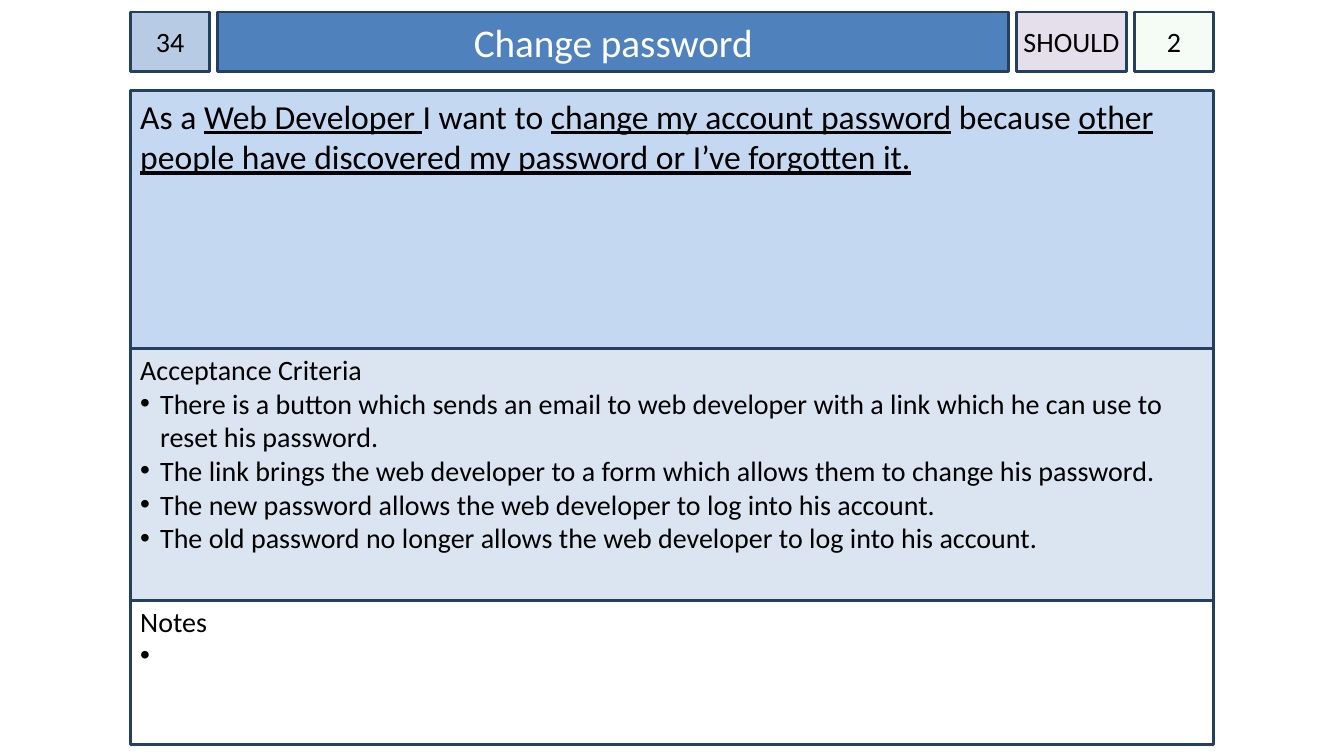
"""Build a user story card: a header row above three stacked panels."""
from lxml.etree import SubElement
from pptx import Presentation
from pptx.dml.color import RGBColor
from pptx.enum.shapes import MSO_SHAPE as Shape
from pptx.enum.text import MSO_ANCHOR as Anchor, PP_ALIGN as Align
from pptx.oxml.ns import qn
from pptx.util import Pt

COLORS = {
    "border": "244061", "ink": "000000", "white": "FFFFFF",
    "number": "B7CCE4", "title": "4F81BD", "priority": "E5DFEC", "points": "CCF0CD",
    "story": "C5D8F1", "criteria": "DAE5F1", "notes": "FFFFFF",
}
HEADER = [
    ("number", "34", 56.8, 20, "ink", 0),
    ("title", "Change password", 565, 28, "white", 7.2),
    ("priority", "SHOULD", 78.5, 20, "ink", 0),
    ("points", "2", 56.8, 20, "ink", 0),
]
STORY = [
    ("As a ", False), ("Web Developer ", True), ("I want to ", False),
    ("change my account password", True), (" because ", False),
    ("other people have discovered my password or I’ve forgotten it.", True),
]
CRITERIA = [
    "There is a button which sends an email to web developer with a link which he can use to reset his password.",
    "The link brings the web developer to a form which allows them to change his password.",
    "The new password allows the web developer to log into his account.",
    "The old password no longer allows the web developer to log into his account.",
]
PANELS = [
    ("story", 184.3, 24, 3.6, STORY, []),
    ("criteria", 180, 20, 2.8, [("Acceptance Criteria", False)], CRITERIA),
    ("notes", 102.6, 20, 2.8, [("Notes", False)], [" "]),
]
LEFT, GAP = 93.1, 5.6
HEADER_TOP, HEADER_HEIGHT = 8.6, 42.5
PANEL_TOP, PANEL_WIDTH = 64.8, 773.9
BULLET_INDENT = Pt(14.2)
POINTS_OPACITY = 20


def color(name):
    return RGBColor.from_string(COLORS[name])


def add_box(page, fill, left, top, width, height, side, inset_top, anchor):
    box = page.shapes.add_shape(Shape.RECTANGLE, Pt(left), Pt(top), Pt(width), Pt(height))
    box.shadow.inherit = False
    box.fill.solid()
    box.fill.fore_color.rgb = color(fill)
    box.line.color.rgb = color("border")
    box.line.width = Pt(2)
    frame = box.text_frame
    frame.word_wrap = True
    frame.vertical_anchor = anchor
    frame.margin_left = frame.margin_right = Pt(side)
    frame.margin_top, frame.margin_bottom = Pt(inset_top), Pt(3.6)
    return box


def write(para, spans, size, ink, align):
    para.alignment = align
    for text, underlined in spans:
        span = para.add_run()
        span.text = text
        span.font.name = "Calibri"
        span.font.size = Pt(size)
        span.font.color.rgb = color(ink)
        span.font.underline = underlined


def add_bullet(para):
    props = para._p.get_or_add_pPr()
    props.set("marL", str(BULLET_INDENT))
    props.set("indent", str(-BULLET_INDENT))
    bullet_color = SubElement(props, qn("a:buClr"))
    SubElement(bullet_color, qn("a:srgbClr"), val=COLORS["ink"])
    SubElement(props, qn("a:buFont"), typeface="Arial")
    SubElement(props, qn("a:buChar"), char="•")


deck = Presentation()
deck.slide_width, deck.slide_height = Pt(960), Pt(540)
page = deck.slides.add_slide(deck.slide_layouts[6])

left = LEFT
for role, text, width, size, ink, side in HEADER:
    box = add_box(page, role, left, HEADER_TOP, width, HEADER_HEIGHT, side, 3.6, Anchor.MIDDLE)
    write(box.text_frame.paragraphs[0], [(text, False)], size, ink, Align.CENTER)
    left += width + GAP
    if role == "points":
        fill_color = box._element.spPr.find(qn("a:solidFill"))[0]
        SubElement(fill_color, qn("a:alpha"), val=str(POINTS_OPACITY * 1000))

top = PANEL_TOP
for role, height, size, inset_top, heading, bullets in PANELS:
    box = add_box(page, role, LEFT, top, PANEL_WIDTH, height, 7.2, inset_top, Anchor.TOP)
    frame = box.text_frame
    write(frame.paragraphs[0], heading, size, "ink", Align.LEFT)
    for bullet in bullets:
        para = frame.add_paragraph()
        write(para, [(bullet, False)], size, "ink", Align.LEFT)
        add_bullet(para)
    top += height

deck.save("out.pptx")
